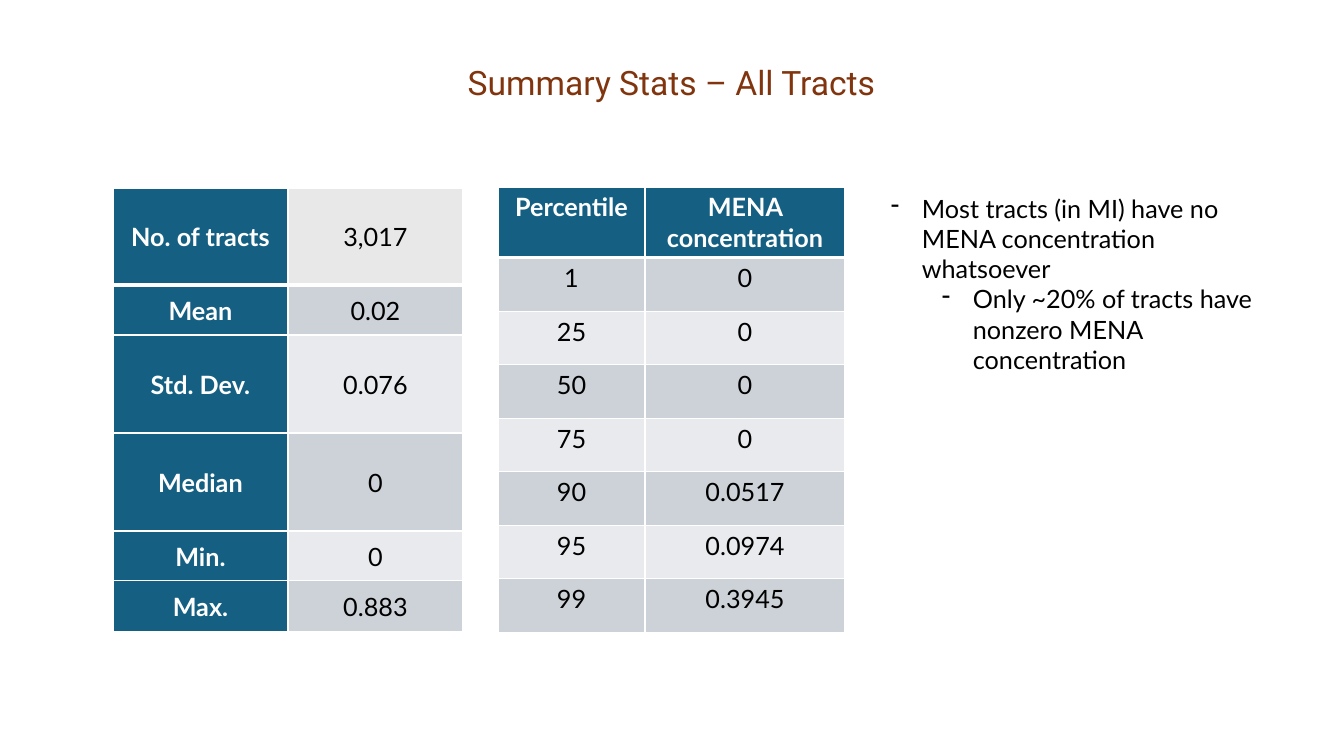
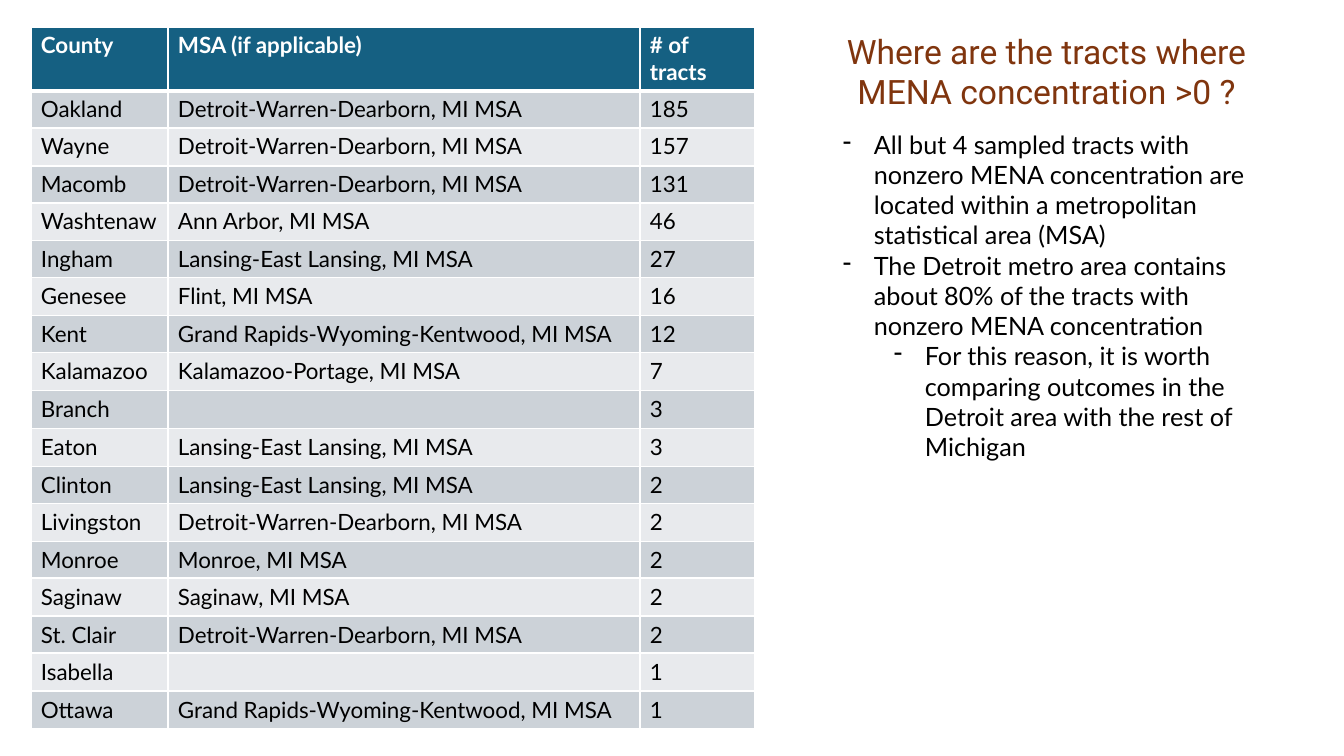
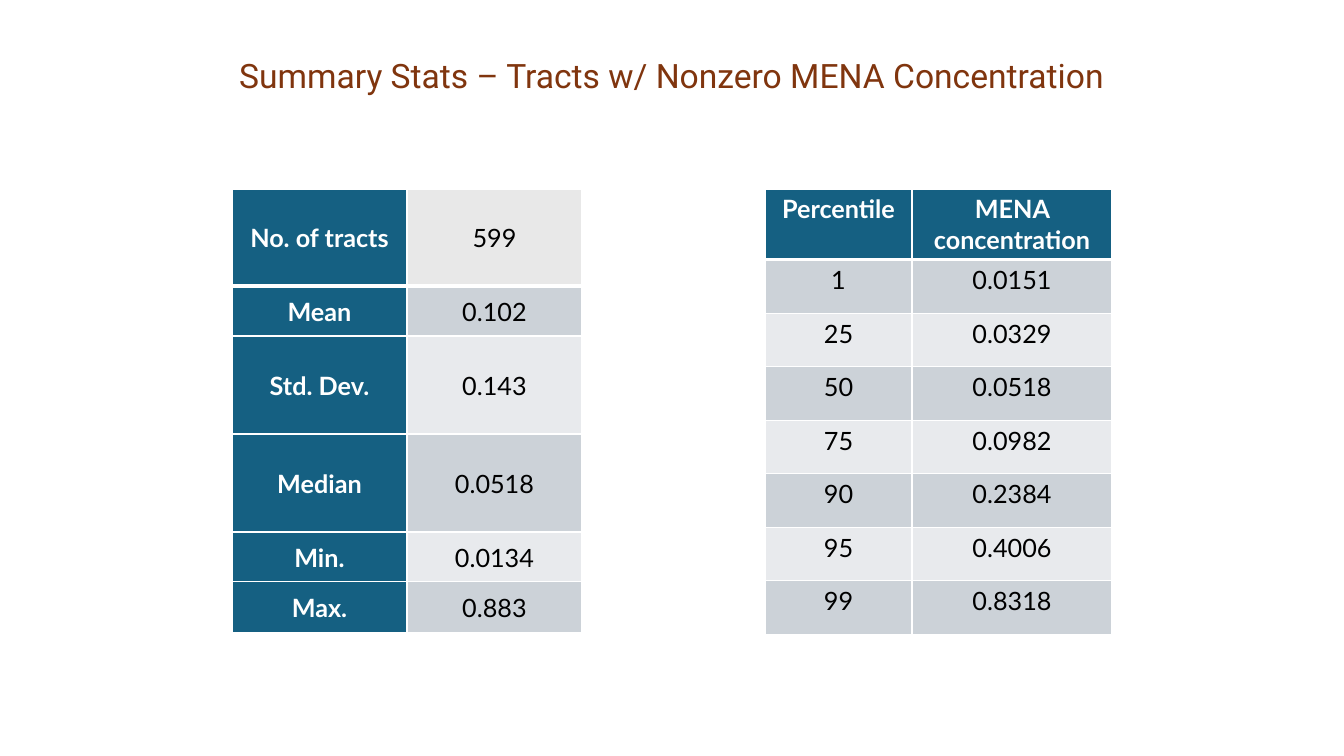
"""Build three slides of census tract statistics with tables and dashed notes."""
import pptx
import pptx.dml.color
import pptx.enum.text
import pptx.oxml.ns
import pptx.util
from lxml import etree

PX = 914400 / 100.8
COLORS = {"title": "80350E", "header": "156082", "dark_band": "CCD2D8",
          "light_band": "E8EAED", "plain": "E8E8E8", "white": "FFFFFF", "text": "000000"}
ALIGN = pptx.enum.text.PP_ALIGN
ANCHOR = pptx.enum.text.MSO_ANCHOR
TITLE = {"name": "Roboto", "size": pptx.util.Pt(24), "bold": False}
BODY = {"name": "Lato", "size": pptx.util.Pt(18), "bold": False}
SMALL = {**BODY, "size": pptx.util.Pt(16)}
BOLD = {"bold": True}


def px(*lengths):
    return [pptx.util.Emu(round(length * PX)) for length in lengths]


def write(para, text, style, color):
    span = para.add_run()
    span.text = text
    for name, value in style.items():
        setattr(span.font, name, value)
    span.font.color.rgb = pptx.dml.color.RGBColor.from_string(COLORS[color])


STATS = {"widths": [175, 175], "heights": [97, 50, 98, 98, 50, 51], "style": BODY,
         "align": ALIGN.CENTER, "anchor": ANCHOR.MIDDLE, "margins": (1, 1, 1, 0),
         "side_header": True}
PERCENTILES = {"widths": [147, 200], "heights": [70] + [54, 53] * 3 + [54], "style": BODY,
               "align": ALIGN.CENTER, "anchor": ANCHOR.TOP, "margins": (10, 5, 10, 5),
               "side_header": False}
COUNTIES = {**PERCENTILES, "widths": [137, 472, 115], "style": SMALL, "align": ALIGN.LEFT,
            "heights": [64] + [37, 38] * 8 + [38]}

STAT_NAMES = ["No. of tracts", "Mean", "Std. Dev.", "Median", "Min.", "Max."]
PERCENTILE_NAMES = ["Percentile", "1", "25", "50", "75", "90", "95", "99"]
CONCENTRATION = "MENA concentration"
DETROIT = "Detroit-Warren-Dearborn, MI MSA"
LANSING = "Lansing-East Lansing, MI MSA"
GRAND_RAPIDS = "Grand Rapids-Wyoming-Kentwood, MI MSA"
COUNTY_ROWS = [
    ("County", "MSA (if applicable)", "# of tracts"),
    ("Oakland", DETROIT, "185"),
    ("Wayne", DETROIT, "157"),
    ("Macomb", DETROIT, "131"),
    ("Washtenaw", "Ann Arbor, MI MSA", "46"),
    ("Ingham", LANSING, "27"),
    ("Genesee", "Flint, MI MSA", "16"),
    ("Kent", GRAND_RAPIDS, "12"),
    ("Kalamazoo", "Kalamazoo-Portage, MI MSA", "7"),
    ("Branch", "", "3"),
    ("Eaton", LANSING, "3"),
    ("Clinton", LANSING, "2"),
    ("Livingston", DETROIT, "2"),
    ("Monroe", "Monroe, MI MSA", "2"),
    ("Saginaw", "Saginaw, MI MSA", "2"),
    ("St. Clair", DETROIT, "2"),
    ("Isabella", "", "1"),
    ("Ottawa", GRAND_RAPIDS, "1"),
]
ALL_STATS = ["3,017", "0.02", "0.076", "0", "0", "0.883"]
ALL_PERCENTILES = [CONCENTRATION, "0", "0", "0", "0", "0.0517", "0.0974", "0.3945"]
NONZERO_STATS = ["599", "0.102", "0.143", "0.0518", "0.0134", "0.883"]
NONZERO_PERCENTILES = [CONCENTRATION, "0.0151", "0.0329", "0.0518", "0.0982",
                       "0.2384", "0.4006", "0.8318"]

PAGES = [
    {"title": "Summary Stats – All Tracts", "title_box": (438, 57, 467, 50),
     "tables": [(PERCENTILES, 498, 187, list(zip(PERCENTILE_NAMES, ALL_PERCENTILES))),
                (STATS, 113, 188, list(zip(STAT_NAMES, ALL_STATS)))],
     "notes_box": (881, 188, 403, 194),
     "notes": [(0, "Most tracts (in MI) have no MENA concentration whatsoever"),
               (1, "Only ~20% of tracts have nonzero MENA concentration")]},
    {"title": "Where are the tracts where MENA concentration >0 ?",
     "title_box": (813, 26, 467, 92),
     "tables": [(COUNTIES, 31, 27, COUNTY_ROWS)],
     "notes_box": (833, 124, 429, 346),
     "notes": [(0, "All but 4 sampled tracts with nonzero MENA concentration are located "
                   "within a metropolitan statistical area (MSA)"),
               (0, "The Detroit metro area contains about 80% of the tracts with "
                   "nonzero MENA concentration"),
               (1, "For this reason, it is worth comparing outcomes in the Detroit area "
                   "with the rest of Michigan")]},
    {"title": "Summary Stats – Tracts w/ Nonzero MENA Concentration",
     "title_box": (161, 50, 1021, 50),
     "tables": [(PERCENTILES, 765, 189, list(zip(PERCENTILE_NAMES, NONZERO_PERCENTILES))),
                (STATS, 232, 189, list(zip(STAT_NAMES, NONZERO_STATS)))],
     "notes": []},
]

deck = pptx.Presentation()
deck.slide_width, deck.slide_height = px(1344, 756)

for content in PAGES:
    page = deck.slides.add_slide(deck.slide_layouts[5])
    title = page.shapes.title
    title.left, title.top, title.width, title.height = px(*content["title_box"])
    frame = title.text_frame
    frame.word_wrap = True
    frame.auto_size = pptx.enum.text.MSO_AUTO_SIZE.NONE
    frame.vertical_anchor = ANCHOR.TOP
    frame.paragraphs[0].alignment = ALIGN.CENTER
    write(frame.paragraphs[0], content["title"], TITLE, "title")

    for kind, left, top, rows in content["tables"]:
        widths, heights = kind["widths"], kind["heights"]
        place = px(left, top, sum(widths), sum(heights))
        table = page.shapes.add_table(len(rows), len(widths), *place).table
        table.first_row = table.horz_banding = False
        for column, width in zip(table.columns, px(*widths)):
            column.width = width
        for line, height in zip(table.rows, px(*heights)):
            line.height = height
        for row, texts in enumerate(rows):
            for col, text in enumerate(texts):
                cell = table.cell(row, col)
                is_header = col == 0 if kind["side_header"] else row == 0
                if is_header:
                    fill = "header"
                elif row == 0:
                    fill = "plain"
                else:
                    fill = "dark_band" if row % 2 else "light_band"
                props = cell._tc.get_or_add_tcPr()
                thick_side = {0: "lnB", 1: "lnT"}.get(row)
                for side in ("lnL", "lnR", "lnT", "lnB"):
                    points = 3 if side == thick_side else 1
                    edge = etree.SubElement(props, pptx.oxml.ns.qn(f"a:{side}"),
                                            w=str(pptx.util.Pt(points)))
                    solid = etree.SubElement(edge, pptx.oxml.ns.qn("a:solidFill"))
                    etree.SubElement(solid, pptx.oxml.ns.qn("a:srgbClr"), val=COLORS["white"])
                cell.fill.solid()
                cell.fill.fore_color.rgb = pptx.dml.color.RGBColor.from_string(COLORS[fill])
                cell.vertical_anchor = kind["anchor"]
                for side, margin in zip(("left", "top", "right", "bottom"), px(*kind["margins"])):
                    setattr(cell, f"margin_{side}", margin)
                para = cell.text_frame.paragraphs[0]
                para.alignment = kind["align"]
                if text:
                    style = {**kind["style"], **BOLD} if is_header else kind["style"]
                    write(para, text, style, "white" if is_header else "text")
                else:
                    etree.SubElement(para._p, pptx.oxml.ns.qn("a:endParaRPr"),
                                     sz=str(int(kind["style"]["size"].pt * 100)))

    if content["notes"]:
        box = page.shapes.add_textbox(*px(*content["notes_box"]))
        frame = box.text_frame
        frame.word_wrap = True
        for index, (level, text) in enumerate(content["notes"]):
            para = frame.add_paragraph() if index else frame.paragraphs[0]
            para.level = level
            props = para._p.get_or_add_pPr()
            indent, hang = px(31 + 51 * level, 31)
            props.set("marL", str(indent))
            props.set("indent", str(-hang))
            etree.SubElement(props, pptx.oxml.ns.qn("a:buChar"), char="-")
            write(para, text, BODY, "text")

deck.save("out.pptx")
